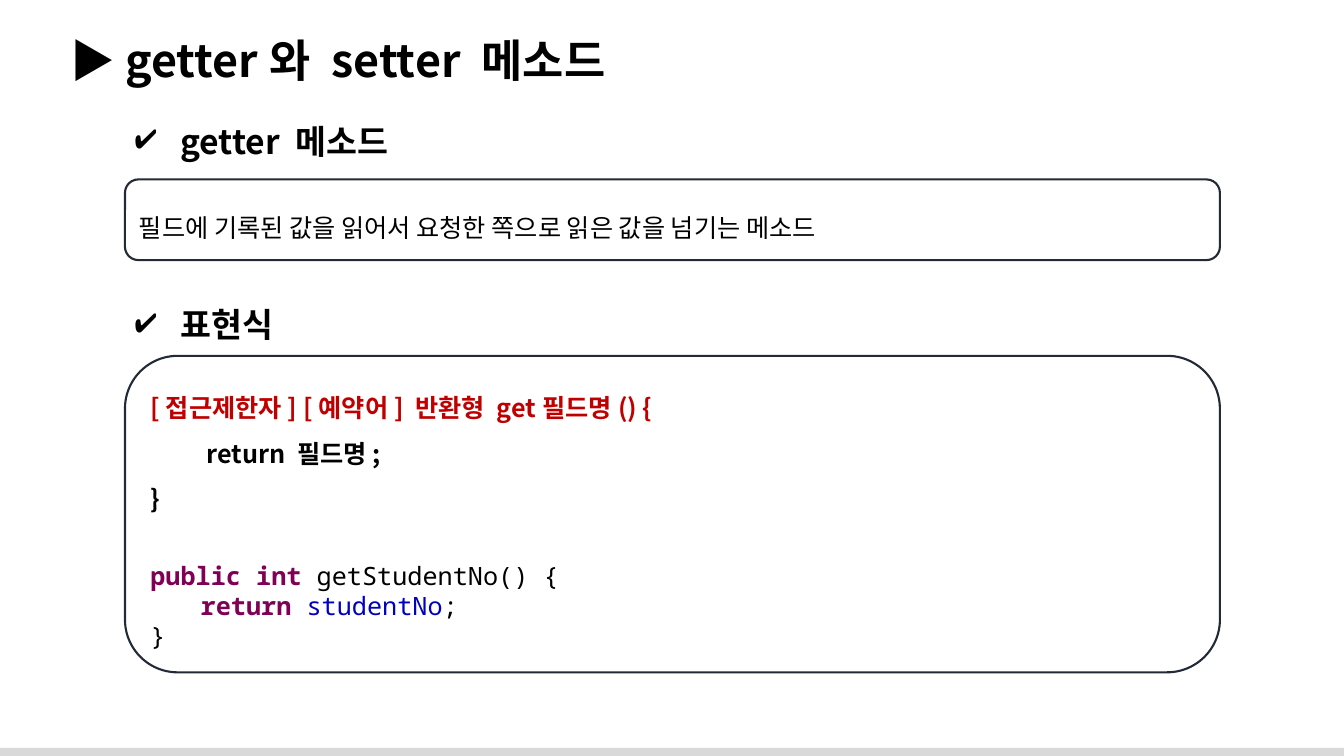
from lxml.etree import SubElement
from pptx import Presentation
from pptx.dml.color import RGBColor
from pptx.enum.shapes import MSO_SHAPE as SHAPE
from pptx.enum.text import MSO_ANCHOR as ANCHOR, PP_ALIGN as ALIGN
from pptx.oxml.ns import qn
from pptx.util import Inches, Pt

COLORS = {
    "ink": "000000",
    "border": "222A35",
    "footer": "D9D9D9",
    "syntax": "C00000",
    "keyword": "7F0055",
    "field": "0000C0",
}
SANS, MONO = "Noto Sans CJK KR", "Noto Sans Mono"
WIDTH, HEIGHT = Inches(13.33), Inches(7.5)

# Content column, in percent of the slide width
LEFT, SPAN = 9.3, 81.47


def rgb(name):
    return RGBColor.from_string(COLORS[name])


def area(x, y, w, h):
    """Turn percentages of the slide into left, top, width, height."""
    return [int(share * side / 100)
            for share, side in zip((x, y, w, h), (WIDTH, HEIGHT) * 2)]


def add_run(p, text, size=18, color="ink", bold=False, font=SANS):
    r = p.add_run()
    r.text = text
    r.font.size, r.font.bold, r.font.name = Pt(size), bold, font
    r.font.color.rgb = rgb(color)
    SubElement(r.font._element, qn("a:ea")).set("typeface", font)


def add_label(s, box, text, size):
    tf = s.shapes.add_textbox(*area(*box)).text_frame
    tf.word_wrap = True
    p = tf.paragraphs[0]
    add_run(p, text, size, bold=True)
    return p


def add_heading(s, y, text):
    """Check-marked subheading with a hanging indent."""
    p = add_label(s, (LEFT, y, 25, 6.67), text, 24)
    pPr = p._p.get_or_add_pPr()
    pPr.set("marL", str(Inches(0.45)))
    pPr.set("indent", str(-Inches(0.45)))
    SubElement(pPr, qn("a:buChar")).set("char", "✔")


def add_panel(s, y, h):
    """Outlined rounded panel; returns its text frame."""
    sp = s.shapes.add_shape(SHAPE.ROUNDED_RECTANGLE, *area(LEFT, y, SPAN, h))
    sp.shadow.inherit = False
    sp.fill.background()
    sp.line.color.rgb = rgb("border")
    sp.line.width = Pt(1.5)
    tf = sp.text_frame
    tf.word_wrap = True
    tf.vertical_anchor = ANCHOR.MIDDLE
    return tf


def fill_lines(tf, lines):
    """Each line is (line spacing, space before, runs)."""
    for i, (spacing, before, runs) in enumerate(lines):
        p = tf.add_paragraph() if i else tf.paragraphs[0]
        p.alignment = ALIGN.LEFT
        p.line_spacing = spacing
        if before:
            p.space_before = Pt(before)
        for text, style in runs:
            add_run(p, text, **style)


def add_footer(s):
    sp = s.shapes.add_shape(SHAPE.RECTANGLE, *area(0, 98.93, 100, 1.07))
    sp.shadow.inherit = False
    sp.fill.solid()
    sp.fill.fore_color.rgb = rgb("footer")
    sp.line.fill.background()


def main():
    prs = Presentation()
    prs.slide_width, prs.slide_height = WIDTH, HEIGHT
    s = prs.slides.add_slide(prs.slide_layouts[6])

    # Footer strip and title
    add_footer(s)
    add_label(s, (4.5, 3.73, 94.5, 8.53), "▶ getter와 setter 메소드", 32)

    # Definition
    add_heading(s, 15.33, "getter 메소드")
    definition = "필드에 기록된 값을 읽어서 요청한 쪽으로 읽은 값을 넘기는 메소드"
    fill_lines(add_panel(s, 23.73, 10.67), [(1.5, 0, [(definition, {})])])

    # Syntax and code example
    add_heading(s, 39.6, "표현식")
    bold = dict(bold=True)
    syntax = dict(color="syntax", bold=True)
    code = dict(font=MONO)
    keyword = dict(font=MONO, color="keyword", bold=True)
    field = dict(font=MONO, color="field")
    fill_lines(add_panel(s, 47.07, 41.87), [
        (1.5, 0, [("[접근제한자] [예약어] 반환형 get필드명() {", syntax)]),
        (1.5, 0, [("\t return 필드명;", bold)]),
        (1.5, 0, [("}", bold)]),
        (1.0, 33, [("public int ", keyword), ("getStudentNo() {", code)]),
        (1.0, 0, [("\treturn ", keyword), ("studentNo", field), (";", code)]),
        (1.0, 0, [("}", code)]),
    ])

    prs.save("out.pptx")


if __name__ == "__main__":
    main()
